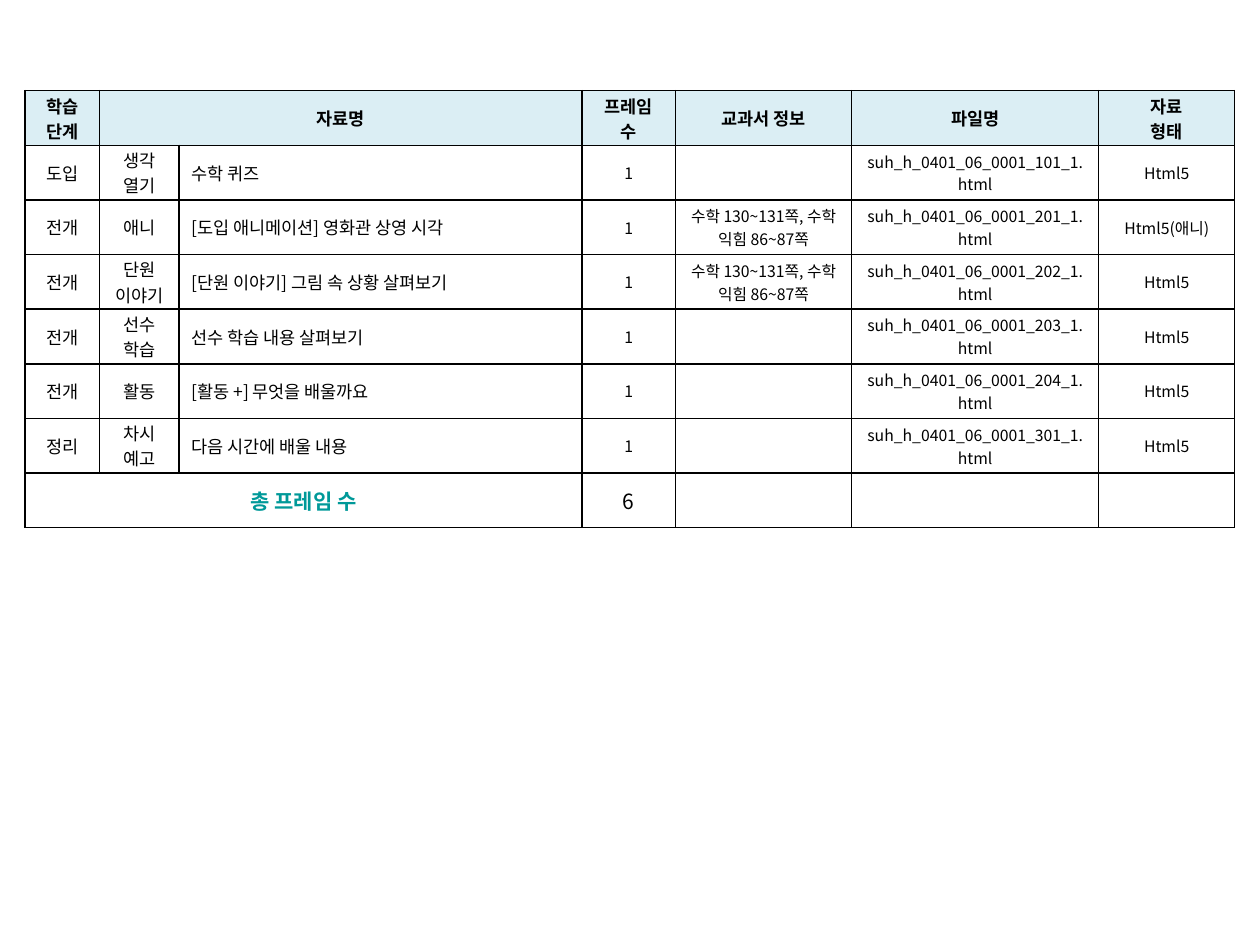
"""Build a slide with the frame table of a mathematics lesson."""
from lxml import etree
from pptx import Presentation, util as u
from pptx.dml import color
from pptx.enum import text
from pptx.oxml import ns

FONT = "Noto Sans CJK KR"
COLORS = {"ink": "000000", "header": "DBEEF4", "total": "009999"}
HEADER = ["학습 단계", "자료명", "", "프레임 수", "교과서 정보", "파일명", "자료\n형태"]
PAGES = "수학 130~131쪽, 수학 익힘 86~87쪽"
LESSONS = [
    ("도입", "생각\n열기", "수학 퀴즈", "", "101", "Html5"),
    ("전개", "애니", "[도입 애니메이션] 영화관 상영 시각", PAGES, "201", "Html5(애니)"),
    ("전개", "단원\n이야기", "[단원 이야기] 그림 속 상황 살펴보기", PAGES, "202", "Html5"),
    ("전개", "선수\v학습", "선수 학습 내용 살펴보기", "", "203", "Html5"),
    ("전개", "활동", "[활동 +] 무엇을 배울까요", "", "204", "Html5"),
    ("정리", "차시 예고", "다음 시간에 배울 내용", "", "301", "Html5"),
]
TOTAL = ["총 프레임 수", "", "", str(len(LESSONS)), "", "", ""]
WIDTHS = [0.59, 0.63, 3.2, 0.74, 1.4, 1.96, 1.08]
LEFT, TOP, HEIGHT = 0.2, 0.72, 3.47
TITLE_COLUMN, FRAME_COLUMN = 2, 3


def lesson_row(stage, part, title, pages, code, kind):
    return [stage, part, title, "1", pages, f"suh_h_0401_06_0001_{code}_1.html", kind]


def add_run(paragraph, words, size, bold, ink):
    run = paragraph.add_run()
    run.text = words
    run.font.size = u.Pt(size)
    run.font.bold = bold
    run.font.color.rgb = color.RGBColor.from_string(COLORS[ink])
    run.font.name = FONT
    latin = run.font._element.find(ns.qn("a:latin"))
    latin.addnext(etree.Element(ns.qn("a:ea"), typeface=FONT))


def write_cell(cell, words, size, bold, ink, alignment):
    cell.vertical_anchor = text.MSO_ANCHOR.MIDDLE
    cell.margin_top = cell.margin_bottom = u.Inches(0.01)
    for index, line in enumerate(words.split("\n")):
        frame = cell.text_frame
        paragraph = frame.add_paragraph() if index else frame.paragraphs[0]
        paragraph.alignment = alignment
        for position, part in enumerate(line.split("\v")):
            if position:
                paragraph.add_line_break()
            if part:
                add_run(paragraph, part, size, bold, ink)


def paint_cell(cell, fill):
    properties = cell._tc.get_or_add_tcPr()
    for side in ("lnL", "lnR", "lnT", "lnB"):
        border = etree.SubElement(properties, ns.qn(f"a:{side}"), w=str(u.Pt(1)))
        solid = etree.SubElement(border, ns.qn("a:solidFill"))
        etree.SubElement(solid, ns.qn("a:srgbClr"), val=COLORS["ink"])
    if fill:
        cell.fill.solid()
        cell.fill.fore_color.rgb = color.RGBColor.from_string(COLORS[fill])
    else:
        cell.fill.background()


def cell_style(row, column, last):
    if row == 0:
        return 10, True, "ink"
    if row == last:
        return (12, True, "total") if column == 0 else (12, False, "ink")
    return (10 if column < FRAME_COLUMN else 9), False, "ink"


def main():
    presentation = Presentation()
    presentation.slide_width, presentation.slide_height = u.Inches(10), u.Inches(7.5)
    slide = presentation.slides.add_slide(presentation.slide_layouts[6])
    rows = [HEADER, *(lesson_row(*lesson) for lesson in LESSONS), TOTAL]
    last = len(rows) - 1
    table = slide.shapes.add_table(
        len(rows), len(WIDTHS), u.Inches(LEFT), u.Inches(TOP),
        u.Inches(sum(WIDTHS)), u.Inches(HEIGHT)).table
    table.first_row = table.horz_banding = False
    for column, width in zip(table.columns, WIDTHS):
        column.width = u.Inches(width)
    for row, values in enumerate(rows):
        table.rows[row].height = u.Inches(HEIGHT / len(rows))
        for column, words in enumerate(values):
            cell = table.cell(row, column)
            is_title = 0 < row < last and column == TITLE_COLUMN
            alignment = text.PP_ALIGN.LEFT if is_title else text.PP_ALIGN.CENTER
            write_cell(cell, words, *cell_style(row, column, last), alignment)
            paint_cell(cell, "header" if row == 0 else None)
    table.cell(0, 1).merge(table.cell(0, TITLE_COLUMN))
    table.cell(last, 0).merge(table.cell(last, TITLE_COLUMN))
    presentation.save("out.pptx")


if __name__ == "__main__":
    main()
